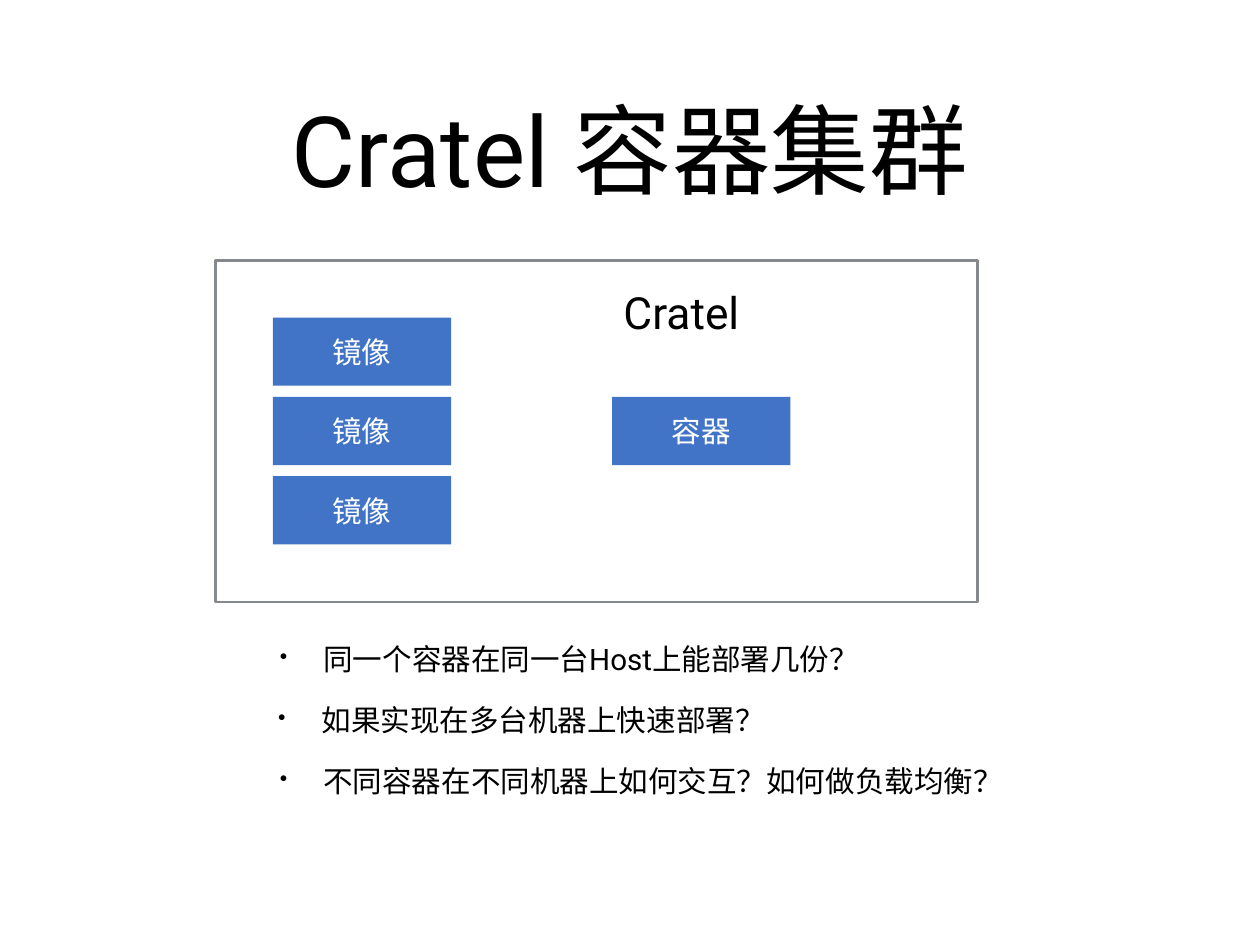
"""Build the slide on Cratel container clusters: images, a container and three open questions."""
from dataclasses import dataclass

from lxml.etree import SubElement
from pptx import Presentation
from pptx.dml.color import RGBColor as Rgb
from pptx.enum.shapes import MSO_SHAPE as Shape
from pptx.enum.text import MSO_ANCHOR as Anchor, PP_ALIGN as Align
from pptx.oxml.ns import qn
from pptx.util import Inches, Pt


@dataclass(frozen=True)
class Theme:
    font: str = "Roboto"
    ink: Rgb = Rgb(0x00, 0x00, 0x00)
    paper: Rgb = Rgb(0xFF, 0xFF, 0xFF)
    block: Rgb = Rgb(0x41, 0x73, 0xC6)
    frame: Rgb = Rgb(0x85, 0x88, 0x8D)
    title: int = 80
    heading: int = 36
    body: int = 24


theme = Theme()
deck = Presentation()
deck.slide_width, deck.slide_height = Inches(14.22), Inches(10.67)
slide = deck.slides.add_slide(deck.slide_layouts[6])


def area(left, top, width, height):
    """Turn percentages of the slide into a position and a size."""
    across, down = deck.slide_width / 100, deck.slide_height / 100
    return [round(share * side) for share, side in
            zip((left, top, width, height), (across, down, across, down))]


def write(box, words, size, color, align=Align.CENTER, wrap=True, bullet=False):
    """Put one paragraph into a box, vertically centred."""
    frame = box.text_frame
    frame.word_wrap = wrap
    frame.vertical_anchor = Anchor.MIDDLE
    frame.margin_left = frame.margin_right = Inches(0.06)
    frame.margin_top = frame.margin_bottom = Inches(0.06)
    paragraph = frame.paragraphs[0]
    paragraph.alignment = align
    if bullet:
        properties = paragraph._p.get_or_add_pPr()
        properties.set("marL", str(Inches(0.49)))
        properties.set("indent", str(-Inches(0.49)))
        SubElement(properties, qn("a:buSzPct"), val="75000")
        SubElement(properties, qn("a:buChar"), char="•")
    run = paragraph.add_run()
    run.text = words
    run.font.name = theme.font
    run.font.size = Pt(size)
    run.font.color.rgb = color
    SubElement(run._r.get_or_add_rPr(), qn("a:ea"), typeface=theme.font)


title = slide.shapes.add_textbox(*area(7.31, 4.59, 85.37, 22.12))
write(title, "Cratel 容器集群", theme.title, theme.ink)

host = slide.shapes.add_shape(Shape.RECTANGLE, *area(17.09, 27.55, 60.48, 36.18))
host.shadow.inherit = False
host.fill.background()
host.line.color.rgb = theme.frame
host.line.width = Pt(2)

engine = slide.shapes.add_textbox(*area(47.96, 29.71, 12.24, 6.65))
write(engine, "Cratel", theme.heading, theme.ink, wrap=False)

image_left, container_left = 21.66, 48.59
blocks = [("镜像", image_left, row) for row in range(3)] + [("容器", container_left, 1)]
for label, left, row in blocks:
    block = slide.shapes.add_shape(
        Shape.RECTANGLE, *area(left, 33.6 + 8.39 * row, 14.14, 7.22))
    block.shadow.inherit = False
    block.fill.solid()
    block.fill.fore_color.rgb = theme.block
    block.line.fill.background()
    write(block, label, theme.body, theme.paper)

questions = [
    ("同一个容器在同一台Host上能部署几份？", 21.8, 77),
    ("如果实现在多台机器上快速部署？", 21.66, 40.5),
    ("不同容器在不同机器上如何交互？如何做负载均衡？", 21.8, 59),
]
for row, (words, left, width) in enumerate(questions):
    question = slide.shapes.add_textbox(*area(left, 67.29 + 6.45 * row, width, 4.87))
    write(question, words, theme.body, theme.ink, align=Align.LEFT, bullet=True)

deck.save("out.pptx")
